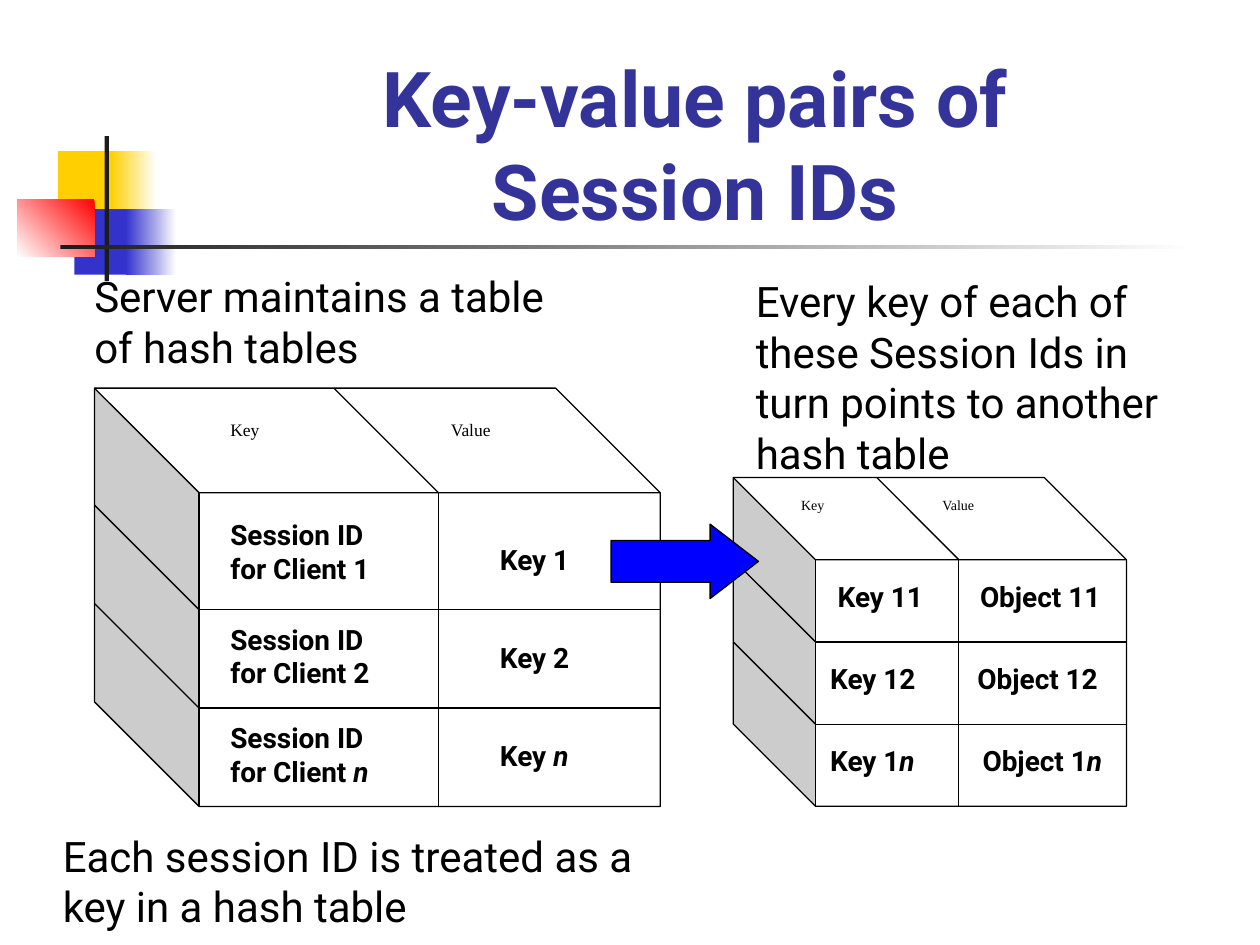
from lxml.etree import SubElement
from pptx import Presentation
from pptx.dml.color import RGBColor
from pptx.enum.shapes import MSO_CONNECTOR as CONN, MSO_SHAPE as SHAPE
from pptx.enum.text import MSO_ANCHOR as ANCHOR, PP_ALIGN as ALIGN
from pptx.oxml.ns import qn
from pptx.util import Inches, Pt

WIDTH, HEIGHT = 10, 7.5
COLORS = {
    "white": "FFFFFF", "black": "000000", "ink": "1C1C1C", "yellow": "FFCF01",
    "blue": "3333CC", "red": "FF0000", "arrow": "0000FF", "title": "333399",
}
FORMATS = {
    "title": {"name": "Roboto", "size": Pt(44), "bold": True},
    "body": {"name": "Roboto", "size": Pt(24)},
    "cell": {"name": "Roboto", "size": Pt(16), "bold": True},
    "head_large": {"name": "Times New Roman", "size": Pt(10)},
    "head_small": {"name": "Times New Roman", "size": Pt(8)},
}
CUBE_DEPTH = 0.25


def rgb(name):
    return RGBColor.from_string(COLORS[name])


def across(share):
    return Inches(WIDTH * share / 100)


def down(share):
    return Inches(HEIGHT * share / 100)


def place(x, y, w, h):
    """Turn percentages of the slide into left, top, width and height."""
    return across(x), down(y), across(w), down(h)


def add_block(s, kind, box, color, fade=None, angle=0, outline=False, adjust=()):
    """Add a preset shape, plain or fading from color to fade."""
    sp = s.shapes.add_shape(kind, *place(*box))
    sp.shadow.inherit = False
    if fade:
        sp.fill.gradient()
        sp.fill.gradient_angle = angle
        for stop, name in zip(sp.fill.gradient_stops, (color, fade)):
            stop.color.rgb = rgb(name)
    else:
        sp.fill.solid()
        sp.fill.fore_color.rgb = rgb(color)
    if outline:
        sp.line.color.rgb = rgb("black")
        sp.line.width = Pt(0.75)
    else:
        sp.line.fill.background()
    for i, value in enumerate(adjust):
        sp.adjustments[i] = value
    return sp


def add_edge(s, x1, y1, x2, y2):
    line = s.shapes.add_connector(CONN.STRAIGHT, across(x1), down(y1), across(x2), down(y2))
    line.line.color.rgb = rgb("black")
    line.line.width = Pt(0.75)
    SubElement(line._element.spPr, qn("a:effectLst"))


def add_text(s, box, text, style, color="black", wrap=True, align=ALIGN.LEFT, anchor=ANCHOR.TOP):
    """Add a text box; parts between asterisks are italic."""
    tf = s.shapes.add_textbox(*place(*box)).text_frame
    tf.word_wrap = wrap
    tf.vertical_anchor = anchor
    for i, line in enumerate(text.split("\n")):
        p = tf.paragraphs[0]
        if i:
            p.add_line_break()
        p.alignment = align
        for j, part in enumerate(line.split("*")):
            if not part:
                continue
            r = p.add_run()
            r.text = part
            for key, value in FORMATS[style].items():
                setattr(r.font, key, value)
            r.font.italic = j % 2 == 1
            r.font.color.rgb = rgb(color)


def add_hash_cube(s, box, split, weights, columns):
    """Draw a cube with weighted rows; each label sits a given lift above its row's end."""
    x, y, w, h = box
    rise = h * CUBE_DEPTH
    depth = rise * HEIGHT / WIDTH
    cube = add_block(s, SHAPE.CUBE, box, "white", outline=True, adjust=[CUBE_DEPTH])
    cube._element.spPr.find(qn("a:xfrm")).set("flipH", "1")
    front, top, right, bottom = x + depth, y + rise, x + w, y + h
    ends = [top + (bottom - top) * sum(weights[:i + 1]) / sum(weights)
            for i in range(len(weights))]
    for end in ends[:-1]:
        add_edge(s, front, end, right, end)
        add_edge(s, front, end, x, end - rise)
    add_edge(s, split, top, split, bottom)
    add_edge(s, split, top, split - depth, y)
    for labels, lefts, lifts, width, height in columns:
        for text, left, lift, end in zip(labels, lefts, lifts, ends):
            add_text(s, (left, end - lift, width, height), text, "cell")


def add_ornament(s):
    blocks = [
        ((4.6, 16, 4.8, 6.93), "yellow", None, 0),
        ((8.8, 16, 3.6, 6.93), "yellow", "white", 0),
        ((5.9, 22.13, 4.6, 6.93), "blue", None, 0),
        ((10, 22.13, 4, 6.93), "blue", "white", 0),
        ((1.4, 21.07, 6.1, 6.13), "red", "white", 225),
        ((8.3, 14.4, 0.35, 15.33), "ink", None, 0),
        ((4.8, 25.95, 90, 0.45), "ink", "white", 0),
    ]
    for box, color, fade, angle in blocks:
        add_block(s, SHAPE.RECTANGLE, box, color, fade, angle)


def main():
    prs = Presentation()
    prs.slide_width, prs.slide_height = Inches(WIDTH), Inches(HEIGHT)
    s = prs.slides.add_slide(prs.slide_layouts[6])
    add_ornament(s)
    add_text(s, (12.6, 8.93, 85.2, 16.67), "Key-value pairs of\nSession IDs", "title",
             "title", align=ALIGN.CENTER, anchor=ANCHOR.BOTTOM)

    rows = ("1", "2", "*n*")
    add_hash_cube(s, (58.2, 50.53, 31.2, 34.8), 76.1, (1, 1, 1), [
        ([f"Key 1{n}" for n in rows], (65.5, 64.9, 64.9), [7.25] * 3, 11.1, 5.73),
        ([f"Object 1{n}" for n in rows], (76.8, 76.6, 77), [7.25] * 3, 15, 5.73),
    ])
    add_hash_cube(s, (7.5, 41.07, 44.9, 44.27), 34.8, (1.19, 1, 1), [
        ([f"Session ID for Client {n}" for n in rows], [17.3] * 3, (10.4, 9.73, 9.73), 15.6, 9.73),
        ([f"Key {n}" for n in rows], [38.7] * 3, [7.8] * 3, 11.7, 5.2),
    ])
    for box, text, style in [
        ((62.6, 51.87, 8.1, 5.73), "Key", "head_small"),
        ((73.8, 51.87, 10.2, 4.93), "Value", "head_small"),
        ((17.3, 43.73, 7.8, 5.2), "Key", "head_large"),
        ((34.8, 43.73, 9.8, 5.2), "Value", "head_large"),
    ]:
        add_text(s, box, text, style, wrap=False)

    add_block(s, SHAPE.RIGHT_ARROW, (48.5, 55.47, 11.7, 7.87), "arrow",
              outline=True, adjust=[0.56, 0.65])
    for box, text in [
        ((6.5, 28, 38.5, 12), "Server maintains a table of hash tables"),
        ((59, 28.53, 37.7, 22.67),
         "Every key of each of these Session Ids in turn points to another hash table"),
        ((4, 87.2, 51, 12), "Each session ID is treated as a key in a hash table"),
    ]:
        add_text(s, box, text, "body")
    prs.save("out.pptx")


if __name__ == "__main__":
    main()
